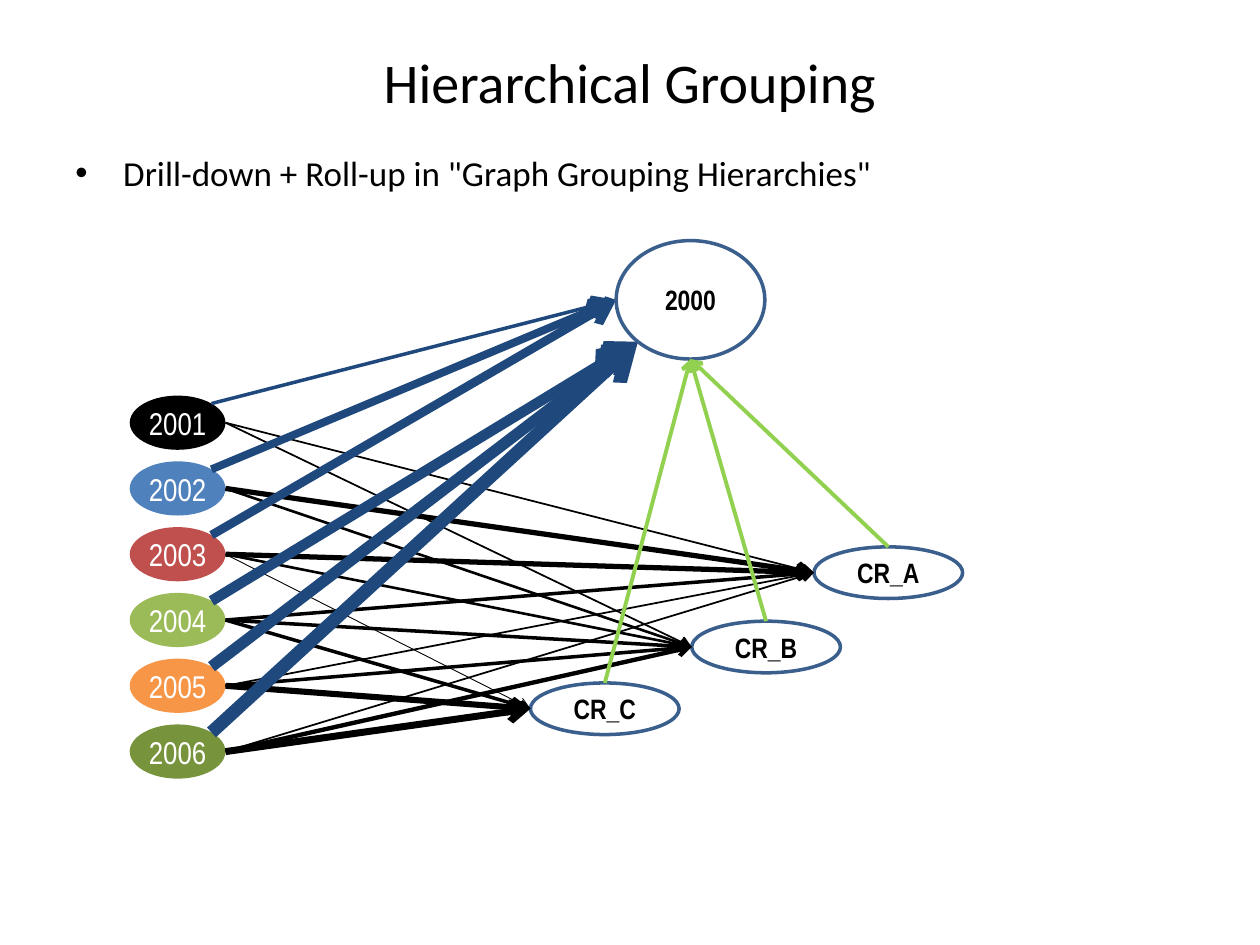
from math import cos, pi, sin

from lxml.etree import SubElement
from pptx import Presentation
from pptx.dml.color import RGBColor
from pptx.enum.shapes import MSO_CONNECTOR as Connector, MSO_SHAPE as Shape
from pptx.enum.text import MSO_ANCHOR as Anchor, PP_ALIGN as Align
from pptx.oxml.ns import qn
from pptx.util import Inches, Pt

TITLE = "Hierarchical Grouping"
BULLET = 'Drill-down + Roll-up in "Graph Grouping Hierarchies"'
BLACK, WHITE, OUTLINE, NAVY, LIME = "000000", "FFFFFF", "3A5F8C", "1F497D", "92D050"

YEAR_FILLS = {"2001": BLACK, "2002": "4F81BD", "2003": "C0504D",
              "2004": "9BBB59", "2005": "F79646", "2006": "77933C"}
YEAR_LEFT, YEAR_TOP, YEAR_SIZE = 1.03, 3.14, (0.76, 0.43)
YEAR_PITCH = (5.75 - YEAR_TOP) / (len(YEAR_FILLS) - 1)

GROUP_SIZE = (1.18, 0.41)
GROUP_CORNERS = {"CR_A": (6.46, 4.34), "CR_B": (5.49, 4.93), "CR_C": (4.21, 5.42)}
DECADE, DECADE_BOX = "2000", (4.89, 1.91, 1.18, 0.94)

# Line widths in points: year to each group, and year to the decade
GROUP_LINKS = {
    "2001": {"CR_A": 1, "CR_B": 1},
    "2002": {"CR_A": 3, "CR_B": 1.5},
    "2003": {"CR_A": 3, "CR_B": 1.5, "CR_C": 0.5},
    "2004": {"CR_A": 2, "CR_B": 2, "CR_C": 2},
    "2005": {"CR_A": 1, "CR_B": 2, "CR_C": 3.5},
    "2006": {"CR_A": 1, "CR_B": 2.5, "CR_C": 4},
}
DECADE_LINKS = {"2001": (2, "left"), "2002": (4.5, "left"), "2003": (5, "left"),
                "2004": (6, "lower left"), "2005": (6.5, "lower left"),
                "2006": (7.5, "lower left")}
ANGLES = {"right": 0, "bottom": 90, "lower left": 135, "left": 180,
          "top": 270, "upper right": 315}


def colour(hex_code):
    """Turn a hex string into a colour."""
    return RGBColor.from_string(hex_code)


def add_run(paragraph, text, size, font, hex_code, bold=False):
    """Add one formatted run."""
    run = paragraph.add_run()
    run.text = text
    run.font.size, run.font.name, run.font.bold = Pt(size), font, bold
    run.font.color.rgb = colour(hex_code)


def place(shape, box):
    """Move and size a shape in inches."""
    shape.left, shape.top, shape.width, shape.height = map(Inches, box)


def rim(box, side):
    """Give the point on an ellipse's edge at a named side."""
    left, top, width, height = box
    angle = ANGLES[side] * pi / 180
    return left + width / 2 * (1 + cos(angle)), top + height / 2 * (1 + sin(angle))


def add_node(label, box, fill, ink, size, outlined):
    """Draw a labelled ellipse."""
    node = slide.shapes.add_shape(Shape.OVAL, *map(Inches, box))
    node.shadow.inherit = False
    node.fill.solid()
    node.fill.fore_color.rgb = colour(fill)
    frame = node.text_frame
    frame.word_wrap = True
    frame.vertical_anchor = Anchor.MIDDLE
    if outlined:
        node.line.color.rgb = colour(OUTLINE)
        node.line.width = Pt(2)
    else:
        node.line.fill.background()
        frame.margin_left = frame.margin_right = 0
    frame.paragraphs[0].alignment = Align.CENTER
    add_run(frame.paragraphs[0], label, size, "Arial Narrow", ink, bold=outlined)


def add_arrow(start, end, hex_code, width):
    """Draw a straight line with an open arrowhead at its end."""
    arrow = slide.shapes.add_connector(Connector.STRAIGHT, *map(Inches, start + end))
    arrow.line.color.rgb = colour(hex_code)
    arrow.line.width = Pt(width)
    SubElement(arrow.line._get_or_add_ln(), qn("a:tailEnd"), type="arrow")
    SubElement(arrow._element.spPr, qn("a:effectLst"))


deck = Presentation()
deck.slide_width, deck.slide_height = Inches(10), Inches(7.5)
slide = deck.slides.add_slide(deck.slide_layouts[5])

heading = slide.shapes.title
place(heading, (0.5, 0.3, 9, 0.69))
heading.text_frame.vertical_anchor = Anchor.MIDDLE
heading.text_frame.paragraphs[0].alignment = Align.CENTER
add_run(heading.text_frame.paragraphs[0], TITLE, 32, "Calibri", BLACK)

body = slide.shapes.add_textbox(*map(Inches, (0.5, 1.15, 9, 5.55))).text_frame
body.word_wrap = True
point = body.paragraphs[0]
point.space_before = Pt(4)
point_format = point._p.get_or_add_pPr()
point_format.set("marL", str(Inches(0.38)))
point_format.set("indent", str(-Inches(0.38)))
SubElement(point_format, qn("a:buFont"), typeface="Arial")
SubElement(point_format, qn("a:buChar"), char="•")
add_run(point, BULLET, 20, "Calibri", BLACK)

years = {year: (YEAR_LEFT, YEAR_TOP + row * YEAR_PITCH) + YEAR_SIZE
         for row, year in enumerate(YEAR_FILLS)}
groups = {group: corner + GROUP_SIZE for group, corner in GROUP_CORNERS.items()}

for year, box in years.items():
    add_node(year, box, YEAR_FILLS[year], WHITE, 18, outlined=False)
for group, box in groups.items():
    add_node(group, box, WHITE, BLACK, 16, outlined=True)
for year, links in GROUP_LINKS.items():
    for group, width in links.items():
        add_arrow(rim(years[year], "right"), rim(groups[group], "left"), BLACK, width)
for year, (width, side) in DECADE_LINKS.items():
    add_arrow(rim(years[year], "upper right"), rim(DECADE_BOX, side), NAVY, width)
add_node(DECADE, DECADE_BOX, WHITE, BLACK, 16, outlined=True)
for box in groups.values():
    add_arrow(rim(box, "top"), rim(DECADE_BOX, "bottom"), LIME, 2.25)

deck.save("out.pptx")
